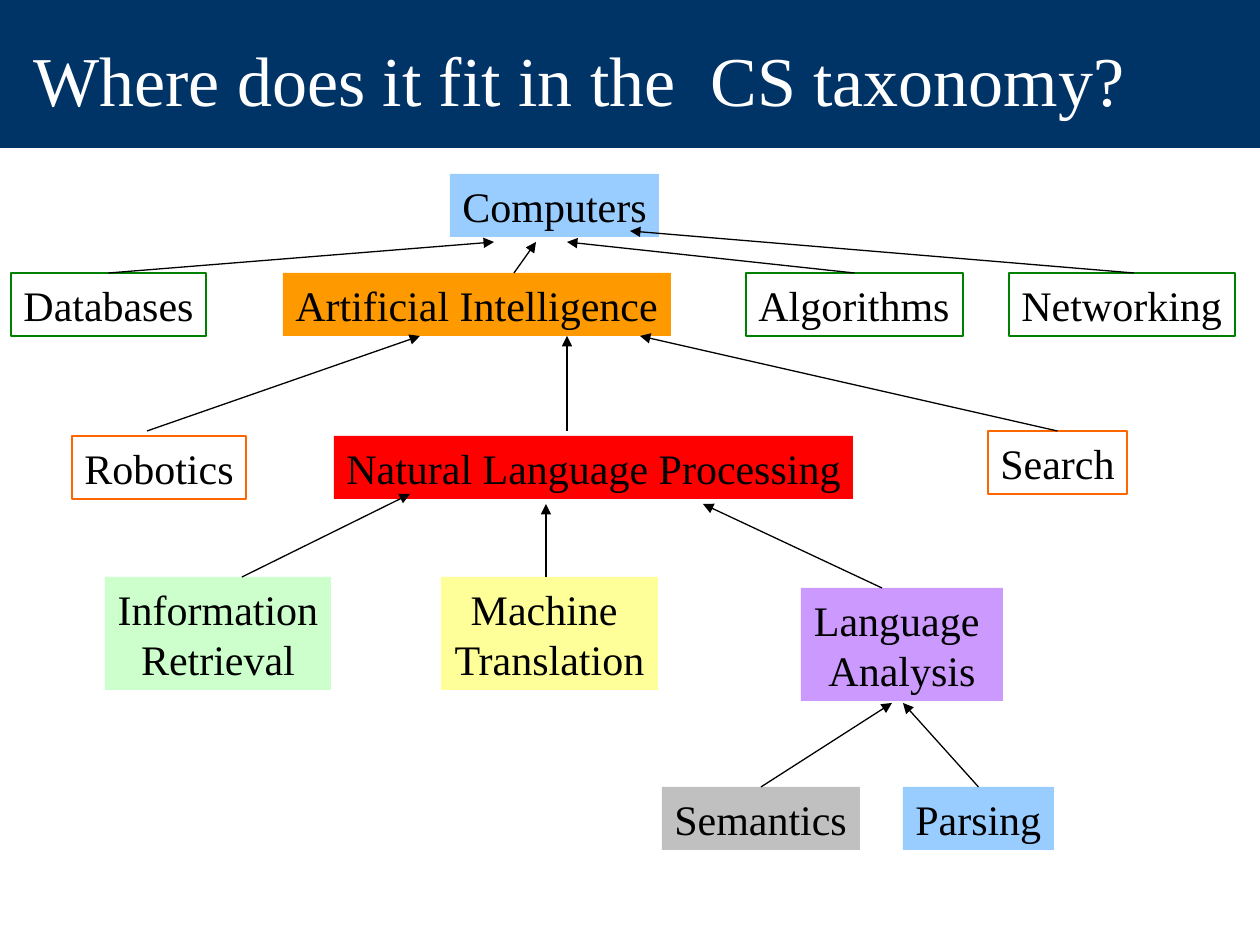
from lxml.etree import SubElement
from pptx import Presentation
from pptx.dml.color import RGBColor
from pptx.enum.shapes import MSO_CONNECTOR, MSO_SHAPE
from pptx.enum.text import MSO_ANCHOR, PP_ALIGN
from pptx.oxml.ns import qn
from pptx.util import Emu, Pt

FONT = "Times New Roman"
BLACK = RGBColor(0x00, 0x00, 0x00)
WHITE = RGBColor(0xFF, 0xFF, 0xFF)
NAVY = RGBColor(0x00, 0x33, 0x66)
SKY = RGBColor(0x99, 0xCC, 0xFF)
AMBER = RGBColor(0xFF, 0x99, 0x00)
GREEN = RGBColor(0x00, 0x80, 0x00)
ORANGE = RGBColor(0xFF, 0x66, 0x00)
RED = RGBColor(0xFF, 0x00, 0x00)
MINT = RGBColor(0xCC, 0xFF, 0xCC)
YELLOW = RGBColor(0xFF, 0xFF, 0x99)
VIOLET = RGBColor(0xCC, 0x99, 0xFF)
SILVER = RGBColor(0xC0, 0xC0, 0xC0)

# Tree rows, measured from the top of the tree region
ROOT, FIELDS, AREAS, TASKS, METHODS = 27, 126, 289, 430, 640
LINE_HEIGHT, PADDING = 50, 13

# Text, left, top, width, fill, outline
NODES = [
    ("Computers", 450, ROOT, 209, SKY, None),
    ("Artificial Intelligence", 283, FIELDS, 388, AMBER, None),
    ("Algorithms", 746, FIELDS, 217, None, GREEN),
    ("Databases", 11, FIELDS, 195, None, GREEN),
    ("Networking", 1009, FIELDS, 226, None, GREEN),
    ("Robotics", 72, AREAS, 174, None, ORANGE),
    ("Search", 988, AREAS - 5, 139, None, ORANGE),
    ("Natural Language Processing", 334, AREAS, 519, RED, None),
    ("Information\nRetrieval", 105, TASKS, 226, MINT, None),
    ("Machine \nTranslation", 441, TASKS, 217, YELLOW, None),
    ("Language \nAnalysis", 801, TASKS + 11, 202, VIOLET, None),
    ("Semantics", 662, METHODS, 198, SILVER, None),
    ("Parsing", 903, METHODS, 151, SKY, None),
]

# Start (a node's top middle, or a point), end point
ARROWS = [
    ("Semantics", (892, 556)),
    ("Parsing", (903, 556)),
    ((242, TASKS), (410, 347)),
    ((546, TASKS), (546, 357)),
    ((882, TASKS + 11), (703, 357)),
    ((147, AREAS - 5), (420, 189)),
    ((567, AREAS - 5), (567, 189)),
    ("Search", (640, 189)),
    ("Databases", (494, 95)),
    ((514, FIELDS), (536, 95)),
    ("Algorithms", (567, 95)),
    ((1134, FIELDS), (630, 84)),
]


def px(length):
    return Emu(round(length * 914400 / 126))


def add_box(slide, left, top, width, height, fill, outline):
    shape = slide.shapes.add_shape(
        MSO_SHAPE.RECTANGLE, px(left), px(top), px(width), px(height))
    shape.shadow.inherit = False
    if fill is None:
        shape.fill.background()
    else:
        shape.fill.solid()
        shape.fill.fore_color.rgb = fill
    if outline is None:
        shape.line.fill.background()
    else:
        shape.line.color.rgb = outline
        shape.line.width = Pt(0.75)
    return shape


def write(text_frame, text, size, color, alignment):
    text_frame.text = text
    for paragraph in text_frame.paragraphs:
        paragraph.alignment = alignment
        paragraph.font.name = FONT
        paragraph.font.size = Pt(size)
        paragraph.font.color.rgb = color


def add_header(slide, left, top, width, height):
    add_box(slide, left, top, width, height, NAVY, NAVY)
    title = slide.shapes.add_textbox(
        px(left + 21), px(top), px(1124), px(height + 10))
    title.text_frame.word_wrap = True
    title.text_frame.vertical_anchor = MSO_ANCHOR.MIDDLE
    write(title.text_frame, "Where does it fit in the  CS taxonomy?",
          40, WHITE, PP_ALIGN.LEFT)


def add_node(slide, text, left, top, width, fill, outline):
    lines = text.count("\n") + 1
    shape = add_box(slide, left, top, width, lines * LINE_HEIGHT + PADDING,
                    fill, outline)
    frame = shape.text_frame
    frame.word_wrap = True
    frame.vertical_anchor = MSO_ANCHOR.TOP
    if lines == 1:
        # Left-aligned labels fill the box, so leave them room on the right
        frame.margin_right = 0
    write(frame, text, 24, BLACK,
          PP_ALIGN.CENTER if lines > 1 else PP_ALIGN.LEFT)
    return shape


def add_arrow(slide, start, end):
    connector = slide.shapes.add_connector(
        MSO_CONNECTOR.STRAIGHT, *map(px, start + end))
    connector.line.color.rgb = BLACK
    connector.line.width = Pt(0.75)
    SubElement(connector.line._get_or_add_ln(), qn("a:tailEnd"), type="triangle")
    SubElement(connector._element.spPr, qn("a:effectLst"))
    return connector


def add_tree(slide, left, top):
    nodes = {}
    for text, x, y, width, fill, outline in NODES:
        nodes[text] = add_node(slide, text, left + x, top + y, width, fill, outline)
    for start, (end_x, end_y) in ARROWS:
        end = (left + end_x, top + end_y)
        if start in nodes:
            add_arrow(slide, end, end).begin_connect(nodes[start], 0)
        else:
            add_arrow(slide, (left + start[0], top + start[1]), end)


def main():
    presentation = Presentation()
    presentation.slide_width, presentation.slide_height = px(1260), px(945)
    slide = presentation.slides.add_slide(presentation.slide_layouts[6])
    add_header(slide, 0, 0, 1260, 147)
    add_tree(slide, 0, 147)
    presentation.save("out.pptx")


if __name__ == "__main__":
    main()
